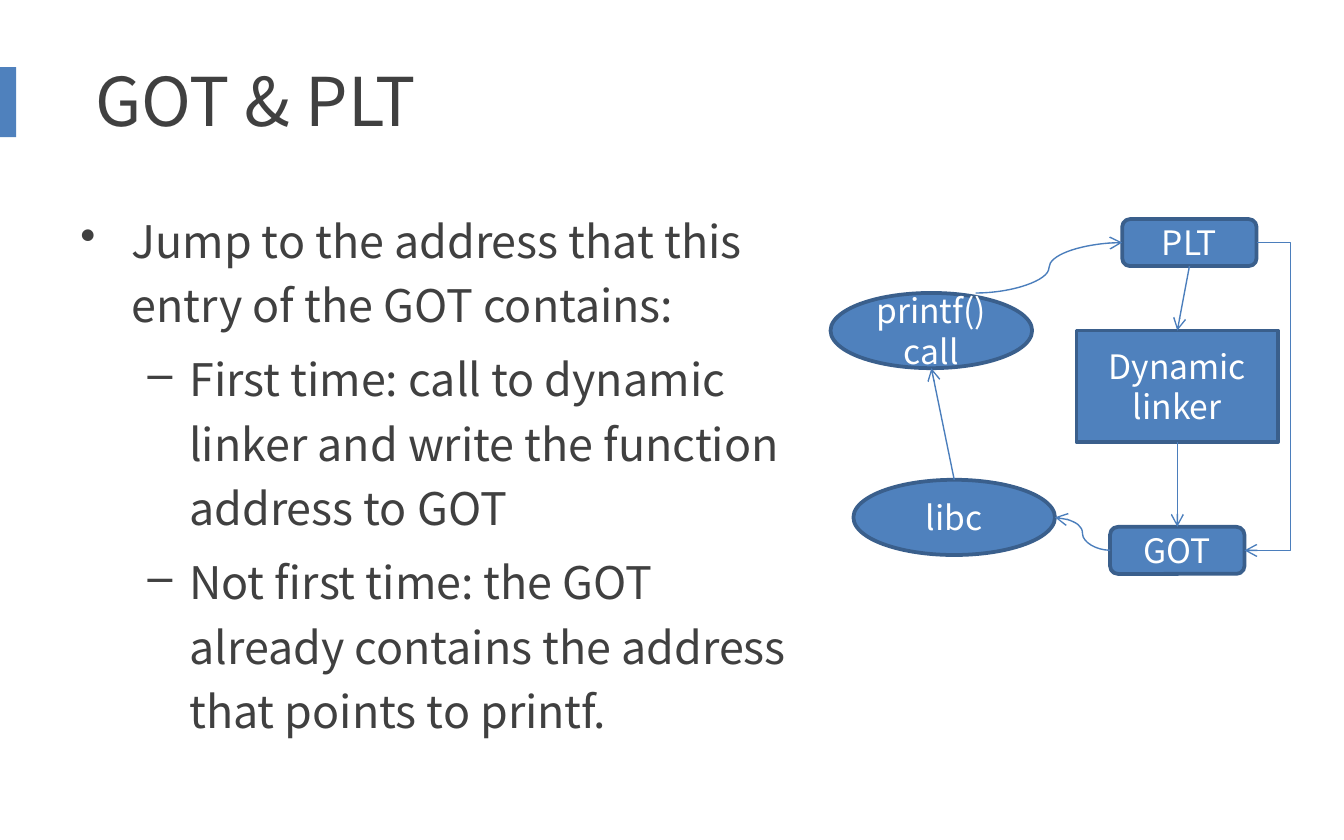
from dataclasses import dataclass

from lxml import etree
from pptx import Presentation
from pptx import util as u
from pptx.dml.color import RGBColor
from pptx.enum import shapes, text
from pptx.oxml import ns


@dataclass(frozen=True)
class Theme:
    font: str = "Noto Sans CJK SC"
    ink: str = "404040"
    accent: str = "4F81BD"
    outline: str = "3A5F8C"
    arrow: str = "4B7EBC"
    white: str = "FFFFFF"
    title_size: int = 36
    body_size: int = 24
    label_size: int = 18
    outline_width: float = 2
    arrow_width: float = 0.75


@dataclass(frozen=True)
class Node:
    label: str
    kind: shapes.MSO_SHAPE
    left: float
    top: float
    width: float
    height: float

    @property
    def sides(self):
        middle_x, middle_y = self.left + self.width / 2, self.top + self.height / 2
        return [(middle_x, self.top), (self.left, middle_y),
                (middle_x, self.top + self.height), (self.left + self.width, middle_y)]


@dataclass(frozen=True)
class Point:
    text: str
    bullet: str
    level: int
    margin: float
    hanging: float
    before: float


THEME = Theme()
TOP, LEFT, BOTTOM, RIGHT = range(4)
KIND, LINK = shapes.MSO_SHAPE, shapes.MSO_CONNECTOR

PRINTF = Node("printf() call", KIND.OVAL, 6.18, 2.18, 1.5, 0.56)
PLT = Node("PLT", KIND.ROUNDED_RECTANGLE, 8.35, 1.63, 1, 0.35)
GOT = Node("GOT", KIND.ROUNDED_RECTANGLE, 8.26, 3.92, 1, 0.35)
LIBC = Node("libc", KIND.OVAL, 6.35, 3.57, 1.5, 0.56)
LINKER = Node("Dynamic linker", KIND.RECTANGLE, 8.01, 2.46, 1.5, 0.83)
NODES = [PRINTF, PLT, GOT, LIBC, LINKER]

POINTS = [
    Point("Jump to the address that this entry of the GOT contains:", "•", 0, 0.38, 0.38, 0),
    Point("First time: call to dynamic linker and write the function address to GOT",
          "–", 1, 0.81, 0.31, 5),
    Point("Not first time: the GOT already contains the address that points to printf.",
          "–", 1, 0.81, 0.31, 5),
]


def add_run(paragraph, words: str, size: int, color: str) -> None:
    run = paragraph.add_run()
    run.text = words
    run.font.name = THEME.font
    run.font.size = u.Pt(size)
    run.font.color.rgb = RGBColor.from_string(color)
    east_asian = etree.SubElement(run.font._element, ns.qn("a:ea"))
    east_asian.set("typeface", THEME.font)


def add_block(slide, kind, left: float, top: float, width: float, height: float):
    block = slide.shapes.add_shape(kind, *map(u.Inches, (left, top, width, height)))
    block.shadow.inherit = False
    block.fill.solid()
    block.fill.fore_color.rgb = RGBColor.from_string(THEME.accent)
    block.line.fill.background()
    return block


def add_node(slide, node: Node):
    block = add_block(slide, node.kind, node.left, node.top, node.width, node.height)
    block.line.color.rgb = RGBColor.from_string(THEME.outline)
    block.line.width = u.Pt(THEME.outline_width)
    frame = block.text_frame
    frame.word_wrap = True
    frame.vertical_anchor = text.MSO_ANCHOR.MIDDLE
    frame.paragraphs[0].alignment = text.PP_ALIGN.CENTER
    add_run(frame.paragraphs[0], node.label, THEME.label_size, THEME.white)
    return block


def add_arrow(slide, kind, begin: tuple[float, float], end: tuple[float, float]):
    arrow = slide.shapes.add_connector(kind, *map(u.Inches, (*begin, *end)))
    arrow.line.color.rgb = RGBColor.from_string(THEME.arrow)
    arrow.line.width = u.Pt(THEME.arrow_width)
    tail = etree.SubElement(arrow.line._get_or_add_ln(), ns.qn("a:tailEnd"))
    tail.set("type", "arrow")
    etree.SubElement(arrow._element.spPr, ns.qn("a:effectLst"))
    return arrow


def bend_at(arrow, share: float) -> None:
    guides = arrow._element.spPr.find(ns.qn("a:prstGeom")).get_or_add_avLst()
    guide = etree.SubElement(guides, ns.qn("a:gd"))
    guide.set("name", "adj1")
    guide.set("fmla", f"val {round(share * 100000)}")


def add_title(slide, words: str) -> None:
    frame = slide.shapes.add_textbox(*map(u.Inches, (0.5, 0.25, 9, 0.98))).text_frame
    frame.word_wrap = True
    frame.margin_left = u.Inches(0.21)
    frame.vertical_anchor = text.MSO_ANCHOR.MIDDLE
    add_run(frame.paragraphs[0], words, THEME.title_size, THEME.ink)


def add_points(slide, points: list[Point]) -> None:
    frame = slide.shapes.add_textbox(*map(u.Inches, (0.5, 1.46, 5.52, 4.12))).text_frame
    frame.word_wrap = True
    for index, point in enumerate(points):
        paragraph = frame.add_paragraph() if index else frame.paragraphs[0]
        paragraph.level = point.level
        paragraph.line_spacing = 1.2
        paragraph.space_before = u.Pt(point.before)
        properties = paragraph._p.get_or_add_pPr()
        properties.set("marL", str(u.Inches(point.margin)))
        properties.set("indent", str(-u.Inches(point.hanging)))
        etree.SubElement(properties, ns.qn("a:buChar")).set("char", point.bullet)
        add_run(paragraph, point.text, THEME.body_size, THEME.ink)


def add_diagram(slide) -> None:
    blocks = {node: add_node(slide, node) for node in NODES}

    add_arrow(slide, LINK.CURVE, (7.26, PRINTF.top), PLT.sides[LEFT])
    add_arrow(slide, LINK.CURVE, GOT.sides[LEFT], LIBC.sides[RIGHT])

    libc_return = add_arrow(slide, LINK.STRAIGHT, LIBC.sides[TOP], PRINTF.sides[BOTTOM])
    libc_return.begin_connect(blocks[LIBC], TOP)
    for source, target in ((PLT, LINKER), (LINKER, GOT)):
        step = add_arrow(slide, LINK.STRAIGHT, source.sides[BOTTOM], target.sides[TOP])
        step.begin_connect(blocks[source], BOTTOM)
        step.end_connect(blocks[target], TOP)

    begin, end = PLT.sides[RIGHT], GOT.sides[RIGHT]
    shortcut = add_arrow(slide, LINK.ELBOW, begin, end)
    bend_at(shortcut, (9.6 - begin[0]) / (end[0] - begin[0]))


def main() -> None:
    deck = Presentation()
    deck.slide_width, deck.slide_height = u.Inches(10), u.Inches(6.25)
    slide = deck.slides.add_slide(deck.slide_layouts[6])
    add_block(slide, KIND.RECTANGLE, -0.06, 0.5, 0.18, 0.52)
    add_title(slide, "GOT & PLT")
    add_points(slide, POINTS)
    add_diagram(slide)
    deck.save("out.pptx")


if __name__ == "__main__":
    main()
